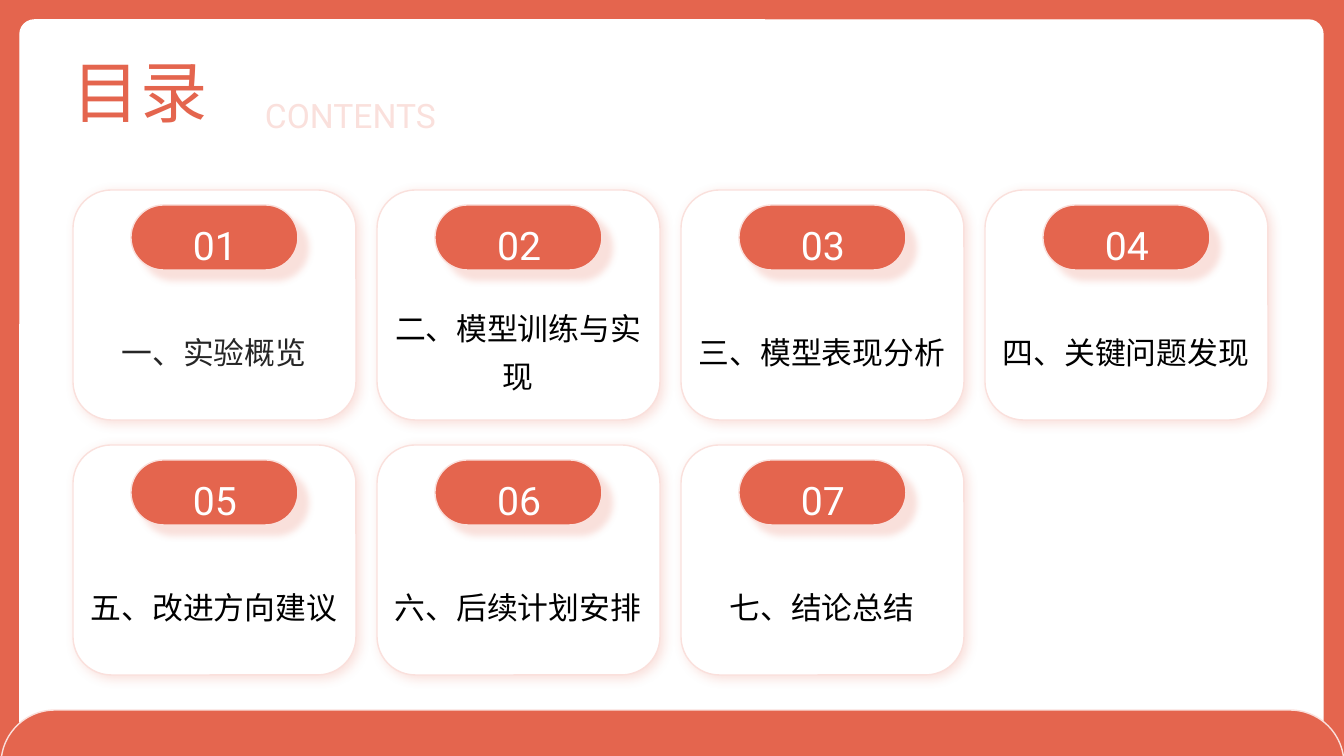
import pptx
import pptx.util
import pptx.dml.color
import pptx.enum.shapes
import pptx.enum.text
import pptx.oxml
import pptx.oxml.ns

# Content
TITLE = "目录"
LABEL = "CONTENTS"
TOPICS = [
    "一、实验概览", "二、模型训练与实现", "三、模型表现分析", "四、关键问题发现",
    "五、改进方向建议", "六、后续计划安排", "七、结论总结",
]
COLORS = {"red": "E4654E", "deep": "C7381E", "pale": "FAE0DC",
          "white": "FFFFFF", "gray": "262626", "black": "000000"}
FONT = "Roboto"

# Layout in px
WIDE, HIGH = 1344, 756
SCALE = 12192000 / WIDE
COLS = 4
LEFT, TOP = 73, 190
STEP_X, STEP_Y = 304, 255
CARD = (0, 0, 283, 230)
PILL = (58, 15, 167, 65)
NUMBER = (95, 16, 94, 64)
CAPTION = (6, 95, 270, 124)
SOFT, DEEP = (8, 3), (5, 10)  # shadow blur and distance in points

Align = pptx.enum.text.PP_ALIGN
Kind = pptx.enum.shapes.MSO_SHAPE


def emu(px):
    return pptx.util.Emu(round(px * SCALE))


def rgb(name):
    return pptx.dml.color.RGBColor.from_string(COLORS[name])


def cast(shape, blur, dist):
    """Give a shape a soft red shadow towards the lower right."""
    effect = pptx.oxml.parse_xml(
        f'<a:effectLst {pptx.oxml.ns.nsdecls("a")}>'
        f'<a:outerShdw blurRad="{blur * 12700}" dist="{dist * 12700}" dir="2700000" '
        f'algn="tl" rotWithShape="0"><a:srgbClr val="{COLORS["red"]}">'
        '<a:alpha val="20000"/></a:srgbClr></a:outerShdw></a:effectLst>')
    props = shape._element.spPr
    props.replace(props.find(pptx.oxml.ns.qn("a:effectLst")), effect)


def block(slide, box, fill, line=None, adj=None, shade=None, kind=Kind.ROUNDED_RECTANGLE):
    shape = slide.shapes.add_shape(kind, *map(emu, box))
    shape.shadow.inherit = False
    shape.fill.solid()
    shape.fill.fore_color.rgb = rgb(fill)
    if line:
        shape.line.color.rgb = rgb(line)
        shape.line.width = pptx.util.Pt(1)
    else:
        shape.line.fill.background()
    if adj is not None:
        shape.adjustments[0] = adj
    if shade:
        cast(shape, *shade)


def write(shape, text, size, color, align=Align.CENTER):
    frame = shape.text_frame
    frame.text = text
    frame.word_wrap = True
    frame.auto_size = pptx.enum.text.MSO_AUTO_SIZE.NONE
    frame.vertical_anchor = pptx.enum.text.MSO_ANCHOR.MIDDLE
    frame.margin_left = frame.margin_right = frame.margin_top = frame.margin_bottom = 0
    para = frame.paragraphs[0]
    para.alignment = align
    para.line_spacing = 1.3
    font = para.runs[0].font
    font.size = pptx.util.Pt(size)
    font.name = FONT
    font.color.rgb = rgb(color)
    east = pptx.oxml.parse_xml(
        f'<a:ea {pptx.oxml.ns.nsdecls("a")} typeface="{FONT}"/>')
    font._element.find(pptx.oxml.ns.qn("a:latin")).addnext(east)
    return font


def label(slide, box, *style):
    write(slide.shapes.add_textbox(*map(emu, box)), *style)


def main():
    deck = pptx.Presentation()
    deck.slide_width, deck.slide_height = emu(WIDE), emu(HIGH)
    slide = deck.slides.add_slide(deck.slide_layouts[5])

    # Frame and bottom band
    block(slide, (0, 0, WIDE, HIGH), "red", kind=Kind.RECTANGLE)
    block(slide, (20, 20, 1303, 716), "white", "white", 0.02)
    block(slide, (1, 710, 1343, 108), "red", "pale", 0.5, DEEP)

    # Heading, brought in front of the frame
    title = slide.shapes.title
    slide.shapes._spTree.append(title._element)
    title.left, title.top, title.width, title.height = map(emu, (73, 33, 170, 92))
    fill = write(title, TITLE, 48, "red", Align.JUSTIFY).fill
    fill.gradient()
    fill.gradient_angle = 315
    for stop, name in zip(fill.gradient_stops, ("red", "deep")):
        stop.color.rgb = rgb(name)
    label(slide, (265, 85, 200, 48), LABEL, 24, "pale", Align.LEFT)

    # Topic cards
    for i, topic in enumerate(TOPICS):
        row, col = divmod(i, COLS)
        x, y = LEFT + col * STEP_X, TOP + row * STEP_Y
        card, pill, number, caption = (
            (x + dx, y + dy, w, h) for dx, dy, w, h in (CARD, PILL, NUMBER, CAPTION))
        block(slide, card, "white", "pale", shade=SOFT)
        block(slide, pill, "red", "pale", 0.5, DEEP)
        label(slide, number, f"{i + 1:02d}", 28, "white")
        label(slide, caption, topic, 22, "black" if i else "gray")

    deck.save("out.pptx")


if __name__ == "__main__":
    main()
